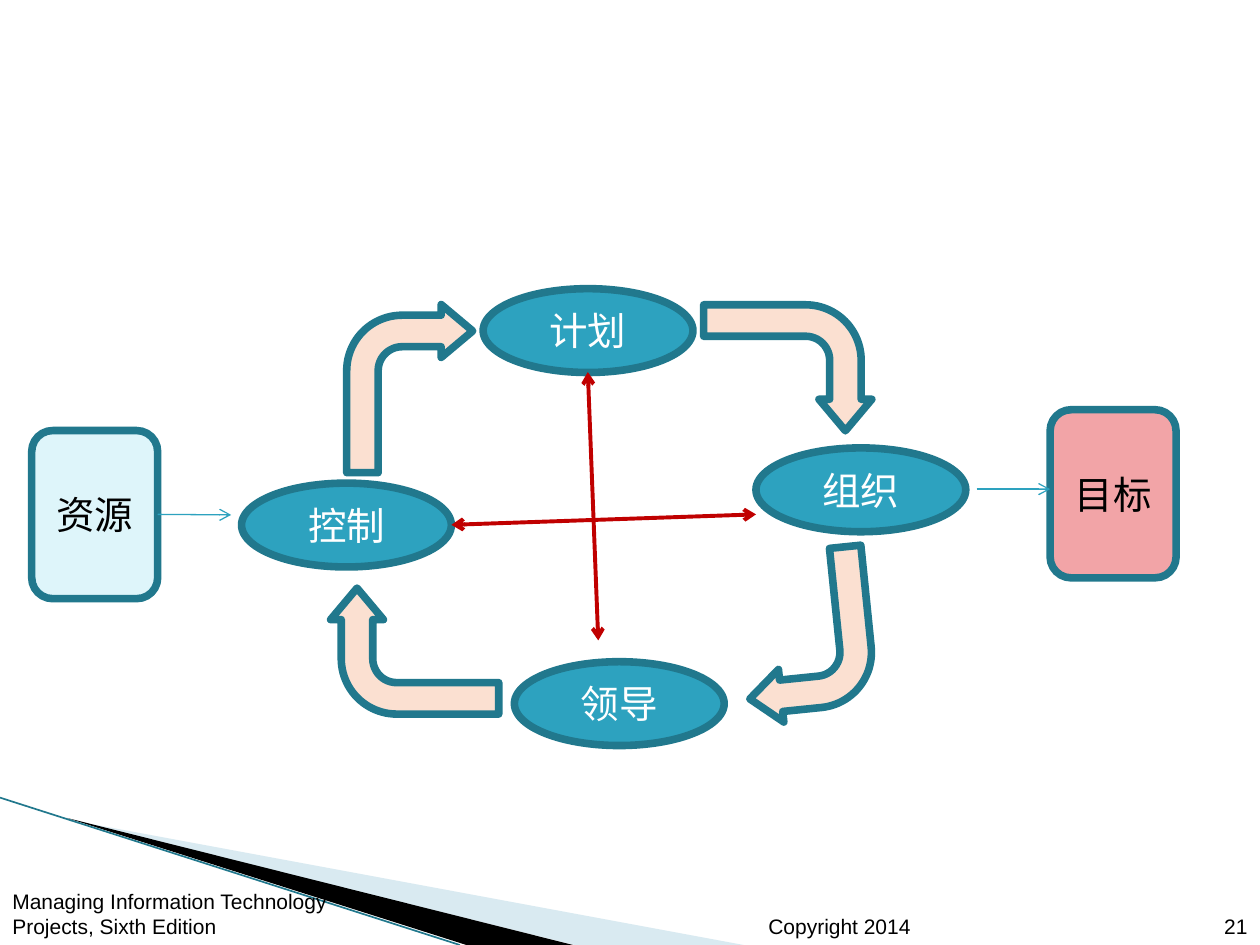
from lxml import etree
from pptx import Presentation
from pptx import util as u
from pptx.dml.color import RGBColor
from pptx.enum import shapes, text
from pptx.oxml.ns import qn

COLORS = {
    "teal": "2DA2BF", "edge": "21788D", "peach": "FBE0D1", "red": "C00000",
    "ice": "DEF5FA", "pink": "F2A4A7", "mist": "A0CBDC",
    "black": "000000", "white": "FFFFFF",
}
RGB = {name: RGBColor.from_string(value) for name, value in COLORS.items()}
BOTTOM = 19.05


def dress(shape, fill, label="", ink="black"):
    """Give a shape its fill, thick edge and centred label."""
    shape.shadow.inherit = False
    shape.fill.solid()
    shape.fill.fore_color.rgb = RGB[fill]
    shape.line.color.rgb = RGB["edge"]
    shape.line.width = u.Pt(4.33)
    if label:
        frame = shape.text_frame
        frame.vertical_anchor = text.MSO_ANCHOR.MIDDLE
        para = frame.paragraphs[0]
        para.alignment = text.PP_ALIGN.CENTER
        span = para.add_run()
        span.text = label
        for name, value in {"name": "Arial", "size": u.Pt(22)}.items():
            setattr(span.font, name, value)
        span.font.color.rgb = RGB[ink]


def connect(start, end, color, width, heads=()):
    line = page.shapes.add_connector(
        shapes.MSO_CONNECTOR.STRAIGHT, *(u.Cm(v) for v in start + end))
    line.line.color.rgb = RGB[color]
    line.line.width = u.Pt(width)
    for tag in heads:
        etree.SubElement(line.line._get_or_add_ln(), qn(tag), type="arrow")
    etree.SubElement(line._element.spPr, qn("a:effectLst"))


deck = Presentation()
deck.slide_width, deck.slide_height = u.Cm(25.4), u.Cm(BOTTOM)
page = deck.slides.add_slide(deck.slide_layouts[6])

# Corner decoration
wedges = [
    ("mist", [(1.4, 16.53), (14.99, BOTTOM), (11.58, BOTTOM)]),
    ("black", [(1.35, 16.49), (11.55, BOTTOM), (9.4, BOTTOM)]),
]
for color, corners in wedges:
    points = [(u.Cm(x), u.Cm(y)) for x, y in corners]
    builder = page.shapes.build_freeform(*points[0])
    builder.add_line_segments(points[1:], close=True)
    wedge = builder.convert_to_shape()
    wedge.shadow.inherit = False
    wedge.fill.solid()
    wedge.fill.fore_color.rgb = RGB[color]
    wedge.line.fill.background()
    if color == "mist":
        tint = wedge._element.spPr.find(".//" + qn("a:srgbClr"))
        etree.SubElement(tint, qn("a:alpha"), val="40000")
connect((0, 16.08), (9.27, BOTTOM), "edge", 0.95)

# Footer
footers = [
    (15.24, 4.45, "Copyright 2014", text.PP_ALIGN.LEFT),
    (0, 7.19, "Managing Information Technology Projects, Sixth Edition", text.PP_ALIGN.LEFT),
    (23.85, 1.55, "21", text.PP_ALIGN.RIGHT),
]
for left, width, words, align in footers:
    box = page.shapes.add_textbox(u.Cm(left), u.Cm(18.03), u.Cm(width), u.Cm(1.02))
    for name, value in {"word_wrap": True, "vertical_anchor": text.MSO_ANCHOR.BOTTOM}.items():
        setattr(box.text_frame, name, value)
    para = box.text_frame.paragraphs[0]
    para.alignment = align
    span = para.add_run()
    span.text = words
    for name, value in {"name": "Arial", "size": u.Pt(12)}.items():
        setattr(span.font, name, value)
    span.font.color.rgb = RGB["black"]

# Management functions
functions = [("控制", 4.87, 9.74), ("领导", 10.37, 13.34),
             ("组织", 15.24, 9.03), ("计划", 9.74, 5.82)]
for label, left, top in functions:
    oval = page.shapes.add_shape(
        shapes.MSO_SHAPE.OVAL, u.Cm(left), u.Cm(top), u.Cm(4.23), u.Cm(1.69))
    dress(oval, "teal", label, "white")

# Cycle arrows
cycle = [(6.99, 6.14, 0), (7.09, 11.43, 270), (14.99, 11.11, 174.2), (14.61, 5.72, 90)]
for left, top, angle in cycle:
    bend = page.shapes.add_shape(
        shapes.MSO_SHAPE.BENT_ARROW, u.Cm(left), u.Cm(top), u.Cm(2.54), u.Cm(3.39))
    for index, value in enumerate((0.25, 0.21, 0.25, 0.44)):
        bend.adjustments[index] = value
    bend.rotation = angle
    dress(bend, "peach")

# Links between opposite functions
both_ends = ("a:headEnd", "a:tailEnd")
connect((9.1, 10.58), (15.24, 10.37), "red", 2.25, both_ends)
connect((11.85, 7.5), (12.06, 12.91), "red", 2.25, both_ends)

# Input and outcome
for label, left, top, fill in [("资源", 0.64, 8.68, "ice"), ("目标", 21.17, 8.26, "pink")]:
    card = page.shapes.add_shape(
        shapes.MSO_SHAPE.ROUNDED_RECTANGLE, u.Cm(left), u.Cm(top), u.Cm(2.54), u.Cm(3.39))
    dress(card, fill, label)
connect((3.18, 10.37), (4.66, 10.38), "teal", 0.75, ("a:tailEnd",))
connect((19.69, 9.86), (21.17, 9.86), "teal", 0.75, ("a:tailEnd",))

deck.save("out.pptx")
